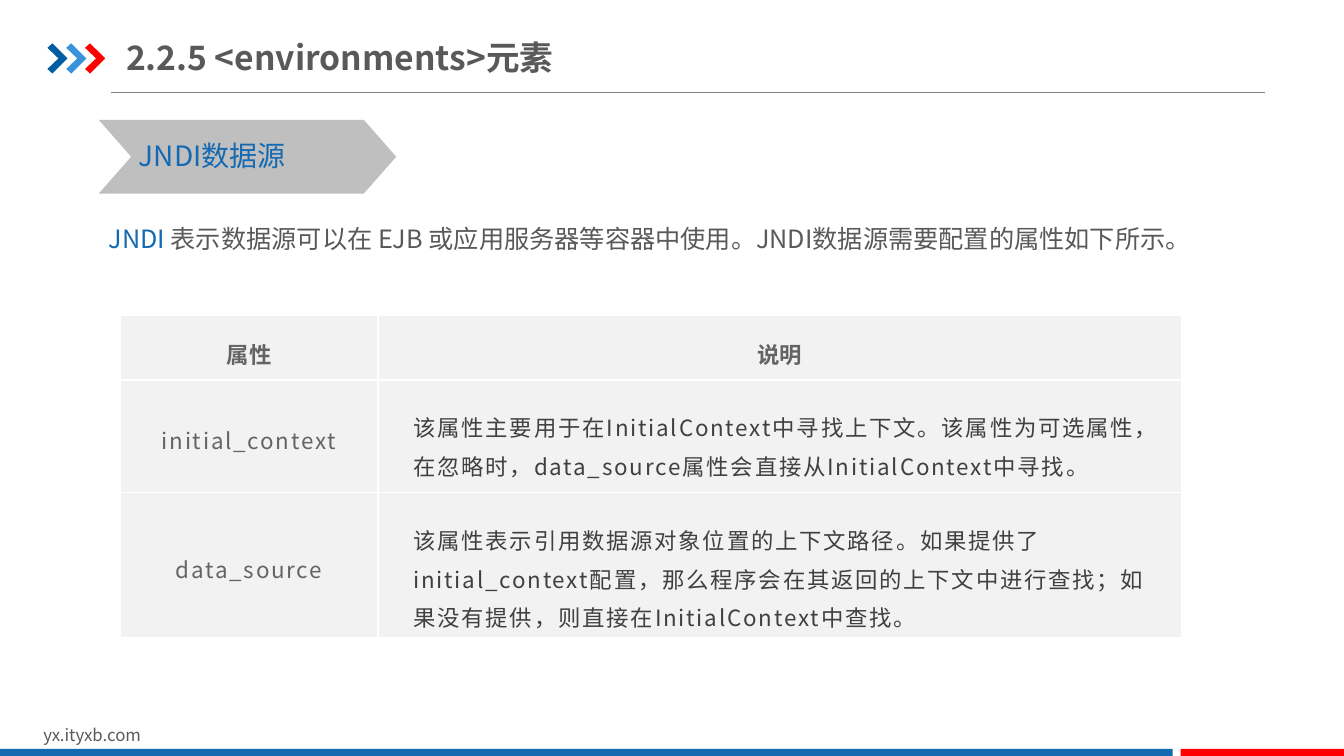
from lxml.etree import SubElement as Sub
from pptx import Presentation
from pptx.dml.color import RGBColor
from pptx.enum.shapes import MSO_CONNECTOR as Line, MSO_SHAPE as Shape
from pptx.enum.text import MSO_ANCHOR as Anchor, PP_ALIGN as Align
from pptx.oxml.ns import qn
from pptx.util import Inches, Pt

WIDE, HIGH = 13.33, 7.5
FACE = "Noto Sans CJK SC"
BLUE, RED, GREY, WHITE = "1369B2", "FF0000", "595959", "FFFFFF"

COLS = [19.2, 59.79]
ROWS = [8.53, 14.93, 19.2]
CELLS = [
    ["属性", "说明"],
    ["initial_context",
     "该属性主要用于在InitialContext中寻找上下文。该属性为可选属性，"
     "在忽略时，data_source属性会直接从InitialContext中寻找。"],
    ["data_source",
     "该属性表示引用数据源对象位置的上下文路径。如果提供了initial_context配置，"
     "那么程序会在其返回的上下文中进行查找；如果没有提供，"
     "则直接在InitialContext中查找。"],
]


# Lengths are percentages of the slide's width and height
def across(share):
    return Inches(WIDE * share / 100)


def down(share):
    return Inches(HIGH * share / 100)


def area(left, top, width, height):
    return across(left), down(top), across(width), down(height)


def color(code):
    return RGBColor.from_string(code)


def paint(shape, code):
    shape.shadow.inherit = False
    shape.fill.solid()
    shape.fill.fore_color.rgb = color(code)
    shape.line.fill.background()


def style(para, size, code, bold=False, space=None, gap=0):
    if space:
        para.line_spacing = space
    font = para.font
    font.name, font.size, font.bold = FACE, Pt(size), bold
    font.color.rgb = color(code)
    props = para._p.get_or_add_pPr().find(qn("a:defRPr"))
    if gap:
        props.set("spc", str(gap))
    Sub(props, qn("a:ea"), typeface=FACE)


def block(slide, box, kind, code):
    shape = slide.shapes.add_shape(kind, *area(*box))
    paint(shape, code)
    return shape


def label(slide, box, text, size, code, space=None):
    frame = slide.shapes.add_textbox(*area(*box)).text_frame
    frame.word_wrap = True
    para = frame.paragraphs[0]
    para.text = text
    style(para, size, code, space=space)
    return para


def arrow(slide, left, code):
    x, y, width, height = area(left, 5.73, 1.5, 4)
    edge = [(0, 0.15), (0.25, 0), (1, 0.5), (0.25, 1), (0, 0.85), (0.55, 0.5)]
    spots = [(x + int(width * a), y + int(height * b)) for a, b in edge]
    form = slide.shapes.build_freeform(*spots[0])
    form.add_line_segments(spots[1:], close=True)
    paint(form.convert_to_shape(), code)


def rule(slide):
    line = slide.shapes.add_connector(
        Line.STRAIGHT, across(8.25), down(12.2), across(94.15), down(12.2))
    line.line.color.rgb = color("808080")
    line.line.width = Pt(0.5)
    Sub(line._element.spPr, qn("a:effectLst"))


def head(slide, text):
    title = slide.shapes.title
    title.left, title.top, title.width, title.height = area(9.38, 3.87, 36.53, 7.33)
    frame = title.text_frame
    frame.margin_left = frame.margin_right = 0
    frame.margin_top = frame.margin_bottom = Inches(0.07)
    frame.vertical_anchor = Anchor.MIDDLE
    frame.word_wrap = True
    para = frame.paragraphs[0]
    para.text = text
    para.alignment = Align.LEFT
    style(para, 24, GREY, bold=True)


def border(cell, sides):
    props = cell._tc.get_or_add_tcPr()
    for side in sides:
        line = Sub(props, qn(f"a:ln{side}"), w=str(Pt(1)))
        fill = Sub(line, qn("a:solidFill"))
        Sub(fill, qn("a:srgbClr"), val=WHITE)


def fill_cell(cell, text, row, col):
    # Inner edges only, in the order left, right, top, bottom
    inner = {"L": col > 0, "R": col < len(COLS) - 1,
             "T": row > 0, "B": row < len(ROWS) - 1}
    border(cell, [side for side, shown in inner.items() if shown])
    cell.fill.solid()
    cell.fill.fore_color.rgb = color("F2F2F2")
    cell.vertical_anchor = Anchor.MIDDLE
    cell.margin_left = cell.margin_right = Inches(0.35)
    cell.margin_top = cell.margin_bottom = Inches(0.24 if row else 0.16)
    cell.text = text
    para = cell.text_frame.paragraphs[0]
    prose = row > 0 and col > 0
    para.alignment = Align.LEFT if prose else Align.CENTER
    style(para, 16, "404040" if prose else "646464", bold=row == 0,
          space=1.2, gap=130 if row else 0)


def grid(slide):
    box = area(8.93, 41.73, sum(COLS), sum(ROWS))
    table = slide.shapes.add_table(len(ROWS), len(COLS), *box).table
    for col, share in enumerate(COLS):
        table.columns[col].width = across(share)
    for row, share in enumerate(ROWS):
        table.rows[row].height = down(share)
        for col, text in enumerate(CELLS[row]):
            fill_cell(table.cell(row, col), text, row, col)


def main():
    deck = Presentation()
    deck.slide_width, deck.slide_height = Inches(WIDE), Inches(HIGH)
    slide = deck.slides.add_slide(deck.slide_layouts[5])

    # Header
    rule(slide)
    for step, code in enumerate(["005DA2", "3992DB", RED]):
        arrow(slide, 3.53 + 1.4 * step, code)
    head(slide, "2.2.5 <environments>元素")

    # Footer
    label(slide, (2.48, 95.2, 23.86, 4), "yx.ityxb.com", 12, GREY)
    block(slide, (0, 99.07, 87.25, 0.93), Shape.RECTANGLE, BLUE)
    block(slide, (87.85, 99.07, 12.15, 0.93), Shape.RECTANGLE, RED)

    # Section tag
    tag = block(slide, (7.35, 15.87, 22.13, 9.73), Shape.CHEVRON, "BFBFBF")
    tag.adjustments[0] = 0.44
    label(slide, (9.6, 17.73, 19.2, 5.87), "JNDI数据源", 20, BLUE)

    # Introduction
    intro = label(slide, (7.35, 26.93, 80.72, 20.67), "JNDI", 18, GREY, 1.5)
    intro.runs[0].font.color.rgb = color(BLUE)
    intro.add_run().text = (" 表示数据源可以在 EJB 或应用服务器等容器中使用。"
                            "JNDI数据源需要配置的属性如下所示。")

    # Attribute table
    grid(slide)
    deck.save("out.pptx")


if __name__ == "__main__":
    main()
